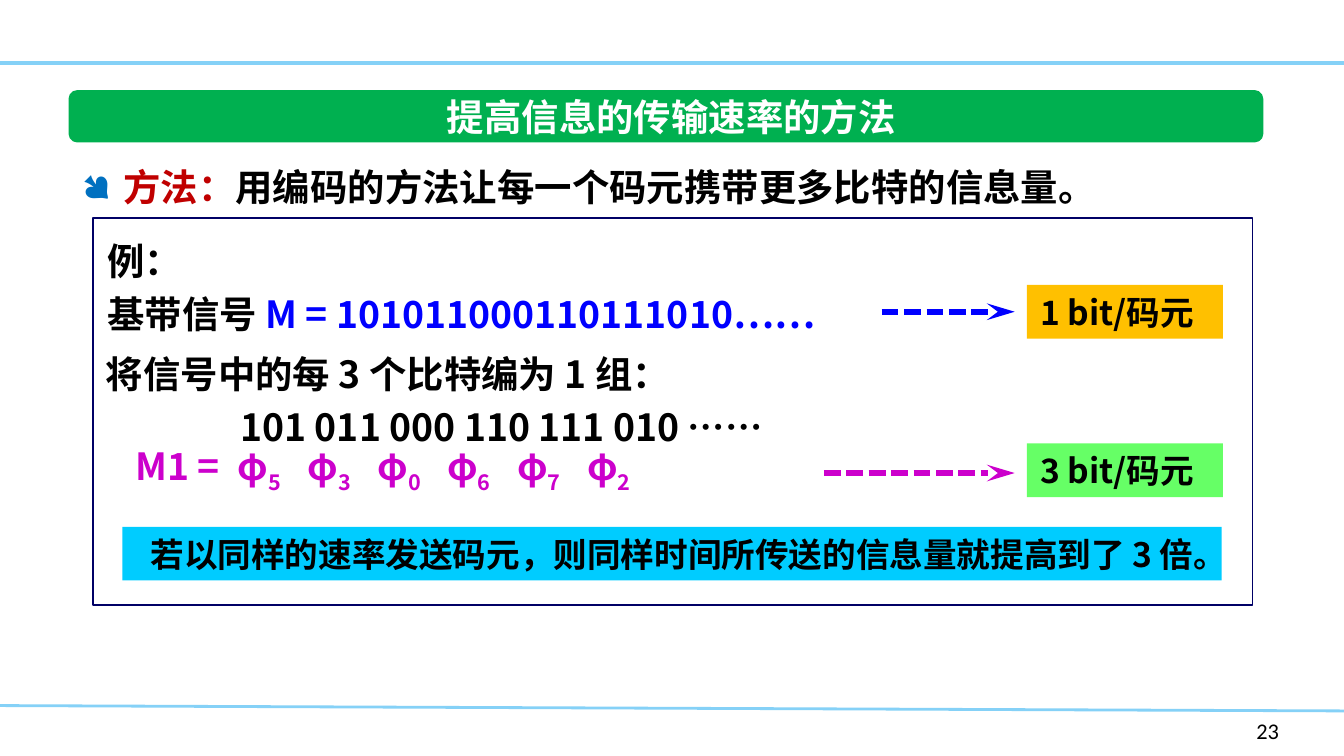
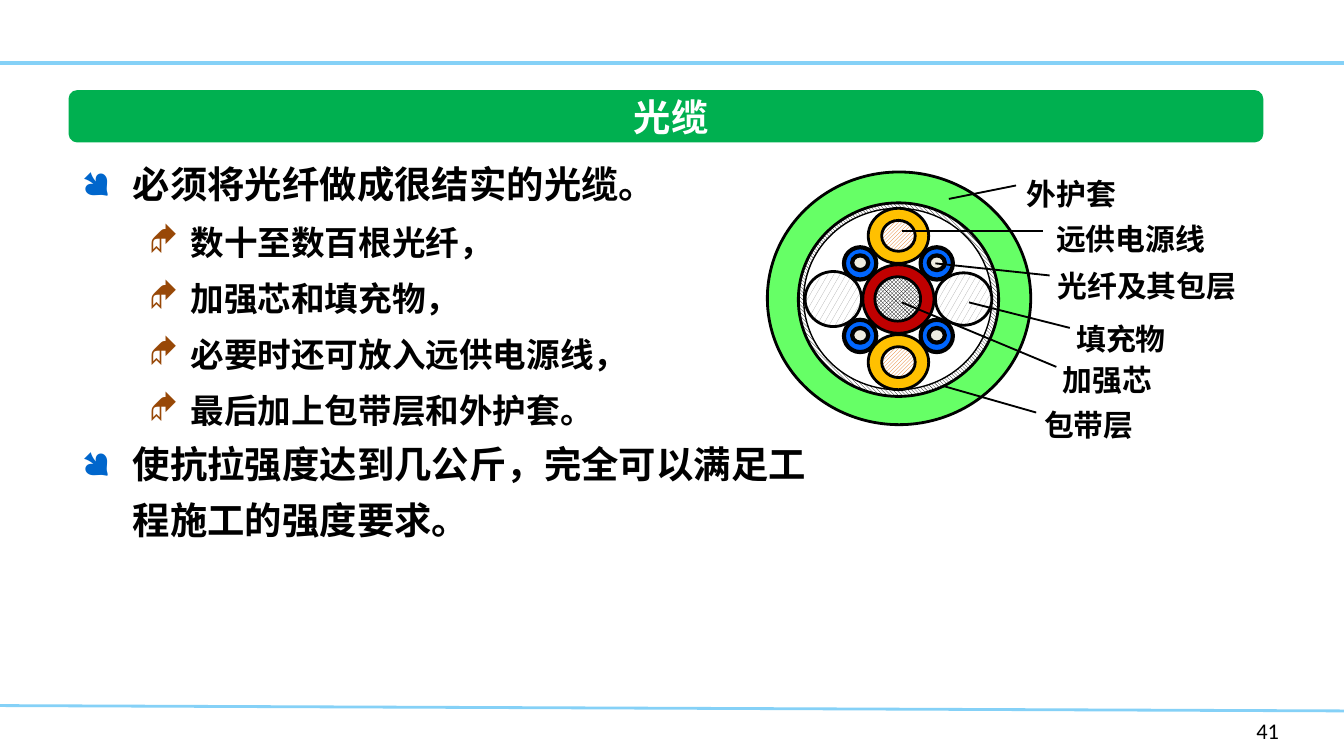
"""Two lecture slides: raising the information rate, and optical cable structure."""
from lxml import etree
from pptx import Presentation
from pptx import util as u
from pptx.dml.color import RGBColor
from pptx.enum import dml, shapes, text
from pptx.oxml.ns import qn

COLORS = {
    "black": "000000", "white": "FFFFFF", "rule": "85D1F7", "band": "00B050",
    "red": "C00000", "navy": "000066", "blue": "0000FF", "magenta": "CC00CC",
    "amber": "FFC000", "lime": "66FF66", "cyan": "00CCFF", "dot": "0070C0",
    "bullet": "0066CC", "diamond": "984807", "fibre": "0066FF",
    "cream": "EEECE1", "grey": "A6A6A6", "orange": "E46C0A",
}
RGB = {name: RGBColor.from_string(value) for name, value in COLORS.items()}
SANS = "Noto Sans CJK SC"


def write(box, spans, size=20, color="black", font=SANS, bold=True, align="LEFT",
          anchor="TOP", wrap=True, spacing=None, bullet=None, indent=None, tabs=()):
    """Add one paragraph; spans is a string or a list of (text, color, baseline)."""
    frame = box.text_frame
    frame.word_wrap = wrap
    frame.vertical_anchor = getattr(text.MSO_ANCHOR, anchor)
    para = frame.add_paragraph() if frame.text else frame.paragraphs[0]
    para.alignment = getattr(text.PP_ALIGN, align)
    props = para._p.get_or_add_pPr()
    if indent:
        props.set("marL", str(u.Inches(indent[0])))
        props.set("indent", str(u.Inches(indent[1])))
    if bullet:
        mark, mark_color = bullet
        tint = etree.SubElement(props, qn("a:buClr"))
        etree.SubElement(tint, qn("a:srgbClr"), val=COLORS[mark_color])
        etree.SubElement(props, qn("a:buFont"), typeface="Wingdings", charset="2")
        etree.SubElement(props, qn("a:buChar"), char=mark)
    if tabs:
        stops = etree.SubElement(props, qn("a:tabLst"))
        for stop in tabs:
            etree.SubElement(stops, qn("a:tab"), pos=str(u.Inches(stop)), algn="l")
    if spacing:
        para.line_spacing = u.Pt(spacing)
    for words, tone, baseline in [(spans, color, 0)] if isinstance(spans, str) else spans:
        span = para.add_run()
        span.text = words
        span.font.size = u.Pt(size)
        span.font.bold = bold
        span.font.name = font
        span.font.color.rgb = RGB[tone]
        run_props = span._r.get_or_add_rPr()
        etree.SubElement(run_props, qn("a:ea"), typeface=font)
        if baseline:
            run_props.set("baseline", str(baseline * 1000))


def draw_line(page, start, end, color, width, arrow=False):
    """Draw a straight line, dashed with a stealth head if it is an arrow."""
    line = page.shapes.add_connector(
        shapes.MSO_CONNECTOR.STRAIGHT, *map(u.Inches, (*start, *end)))
    line.line.color.rgb = RGB[color]
    line.line.width = u.Pt(width)
    if arrow:
        line.line.dash_style = dml.MSO_LINE.SQUARE_DOT
        etree.SubElement(line.line._get_or_add_ln(), qn("a:tailEnd"),
                         type="stealth", w="med", len="lg")
    etree.SubElement(line._element.spPr, qn("a:effectLst"))


deck = Presentation()
deck.slide_width = u.Inches(10)
deck.slide_height = deck.slide_width * 9 // 16

pages = []
for title, number in [("提高信息的传输速率的方法", "23"), ("光缆", "41")]:
    page = deck.slides.add_slide(deck.slide_layouts[6])
    draw_line(page, (0, 5.25), (10, 5.29), "rule", 1.5)
    draw_line(page, (0, 0.47), (10, 0.47), "rule", 2)
    band = page.shapes.add_shape(
        shapes.MSO_SHAPE.ROUNDED_RECTANGLE, *map(u.Inches, (0.51, 0.67, 8.89, 0.39)))
    band.shadow.inherit = False
    band.fill.solid()
    band.fill.fore_color.rgb = RGB["band"]
    band.line.fill.background()
    box = page.shapes.add_textbox(*map(u.Inches, (9.25, 5.29, 0.57, 0.3)))
    write(box, number, size=12, font="Calibri", bold=False)
    box = page.shapes.add_textbox(*map(u.Inches, (1.37, 0.67, 7.25, 0.39)))
    write(box, title, color="white", align="CENTER", anchor="MIDDLE")
    pages.append(page)
rate_page, cable_page = pages

box = rate_page.shapes.add_textbox(*map(u.Inches, (0.51, 1.05, 8.89, 3.69)))
write(box, [("方法：", "red", 0), ("用编码的方法让每一个码元携带更多比特的信息量。", "black", 0)],
      spacing=33, bullet=("●", "dot"), indent=(0.31, -0.31))

for at, fill, words, align in [
    ((0.69, 1.62, 8.63, 2.88), None, None, None),
    ((7.64, 3.3, 1.46, 0.4), "lime", "3 bit/码元", "LEFT"),
    ((7.64, 2.12, 1.46, 0.4), "amber", "1 bit/码元", "LEFT"),
    ((0.91, 3.92, 8.18, 0.4), "cyan",
     "若以同样的速率发送码元，则同样时间所传送的信息量就提高到了 3 倍。", "CENTER"),
]:
    panel = rate_page.shapes.add_shape(shapes.MSO_SHAPE.RECTANGLE, *map(u.Inches, at))
    panel.shadow.inherit = False
    if fill:
        panel.fill.solid()
        panel.fill.fore_color.rgb = RGB[fill]
        panel.line.fill.background()
        write(panel, words, size=18, align=align)
    else:
        panel.fill.background()
        panel.line.color.rgb = RGB["navy"]
        panel.line.width = u.Pt(1)

box = rate_page.shapes.add_textbox(*map(u.Inches, (0.7, 1.67, 5.78, 0.89)))
write(box, "例：", spacing=28)
write(box, [("基带信号 ", "black", 0), ("M = 101011000110111010……", "blue", 0)], spacing=28)

box = rate_page.shapes.add_textbox(*map(u.Inches, (0.69, 2.51, 6.94, 0.89)))
write(box, "将信号中的每 3 个比特编为 1 组：", spacing=28)
write(box, "101 011 000 110 111 010 ……", spacing=28, indent=(1, 0))

symbols = [("M1 =", "magenta", 0)]
for phase in "530672":
    symbols += [("\tφ", "magenta", 0), (phase, "magenta", -25)]
box = rate_page.shapes.add_textbox(*map(u.Inches, (0.91, 3.25, 5.36, 0.44)))
write(box, symbols, tabs=[0.76 + 0.52 * step for step in range(6)])

draw_line(rate_page, (6.13, 3.52), (7.55, 3.52), "magenta", 3, arrow=True)
draw_line(rate_page, (6.56, 2.32), (7.55, 2.32), "blue", 3, arrow=True)

box = cable_page.shapes.add_textbox(*map(u.Inches, (0.51, 1.07, 5.77, 3.47)))
main_point = dict(spacing=30, bullet=("●", "bullet"), indent=(0.38, -0.38))
write(box, "必须将光纤做成很结实的光缆。", **main_point)
for point in ["数十至数百根光纤，", "加强芯和填充物，", "必要时还可放入远供电源线，", "最后加上包带层和外护套。"]:
    write(box, point, size=18, spacing=30, bullet=("◆", "diamond"), indent=(0.81, -0.31))
write(box, "使抗拉强度达到几公斤，完全可以满足工程施工的强度要求。", **main_point)

PATTERN = dml.MSO_PATTERN
wrapping = (PATTERN.DARK_DOWNWARD_DIAGONAL, "black")
core = (PATTERN.SMALL_CHECKER_BOARD, "black")
filler = (PATTERN.LARGE_CONFETTI, "grey")
copper = (PATTERN.DARK_UPWARD_DIAGONAL, "orange")
rings = [
    (5.71, 1.28, 1.96, 1.88, "lime", 1.5),
    (5.94, 1.51, 1.49, 1.44, wrapping, 1.5),
    (6.38, 1.93, 0.6, 0.58, "white", 1.5),
    (5.98, 1.55, 1.4, 1.35, "white", 0.75),
    (6.42, 1.97, 0.53, 0.51, "red", 1.5),
    (6.51, 2.06, 0.34, 0.33, core, 1.5),
    (5.99, 2.02, 0.42, 0.41, filler, 1.5),
    (6.96, 2.03, 0.42, 0.39, filler, 1.5),
]
for top in (1.55, 2.49):
    rings += [(6.46, top, 0.45, 0.41, "amber", 1.5),
              (6.56, top + 0.09, 0.25, 0.23, copper, 1.5)]
for left in (6.28, 6.85):
    for top in (2.38, 1.84):
        rings += [(left, top, 0.24, 0.24, "fibre", 2.25),
                  (left + 0.06, top + 0.06, 0.12, 0.11, "cream", 2.25)]
for *at, fill, width in rings:
    ring = cable_page.shapes.add_shape(shapes.MSO_SHAPE.OVAL, *map(u.Inches, at))
    ring.shadow.inherit = False
    if isinstance(fill, str):
        ring.fill.solid()
        ring.fill.fore_color.rgb = RGB[fill]
    else:
        ring.fill.patterned()
        ring.fill.pattern, ink = fill
        ring.fill.fore_color.rgb = RGB[ink]
        ring.fill.back_color.rgb = RGB["white"]
    ring.line.color.rgb = RGB["black"]
    ring.line.width = u.Pt(width)

for label, left, top, width, start, end in [
    ("包带层", 7.67, 2.98, 0.88, (7.01, 2.87), (7.71, 3.07)),
    ("加强芯", 7.81, 2.64, 0.88, (6.71, 2.25), (7.86, 2.73)),
    ("填充物", 7.91, 2.34, 0.88, (7.21, 2.25), (7.96, 2.44)),
    ("光纤及其包层", 7.77, 1.94, 1.55, (6.96, 1.96), (7.81, 2.05)),
    ("远供电源线", 7.76, 1.59, 1.32, (6.71, 1.72), (7.76, 1.72)),
    ("外护套", 7.54, 1.26, 0.88, (7.06, 1.48), (7.56, 1.38)),
]:
    box = cable_page.shapes.add_textbox(*map(u.Inches, (left, top, width, 0.37)))
    write(box, label, size=16, wrap=False)
    draw_line(cable_page, start, end, "black", 1)

deck.save("out.pptx")
